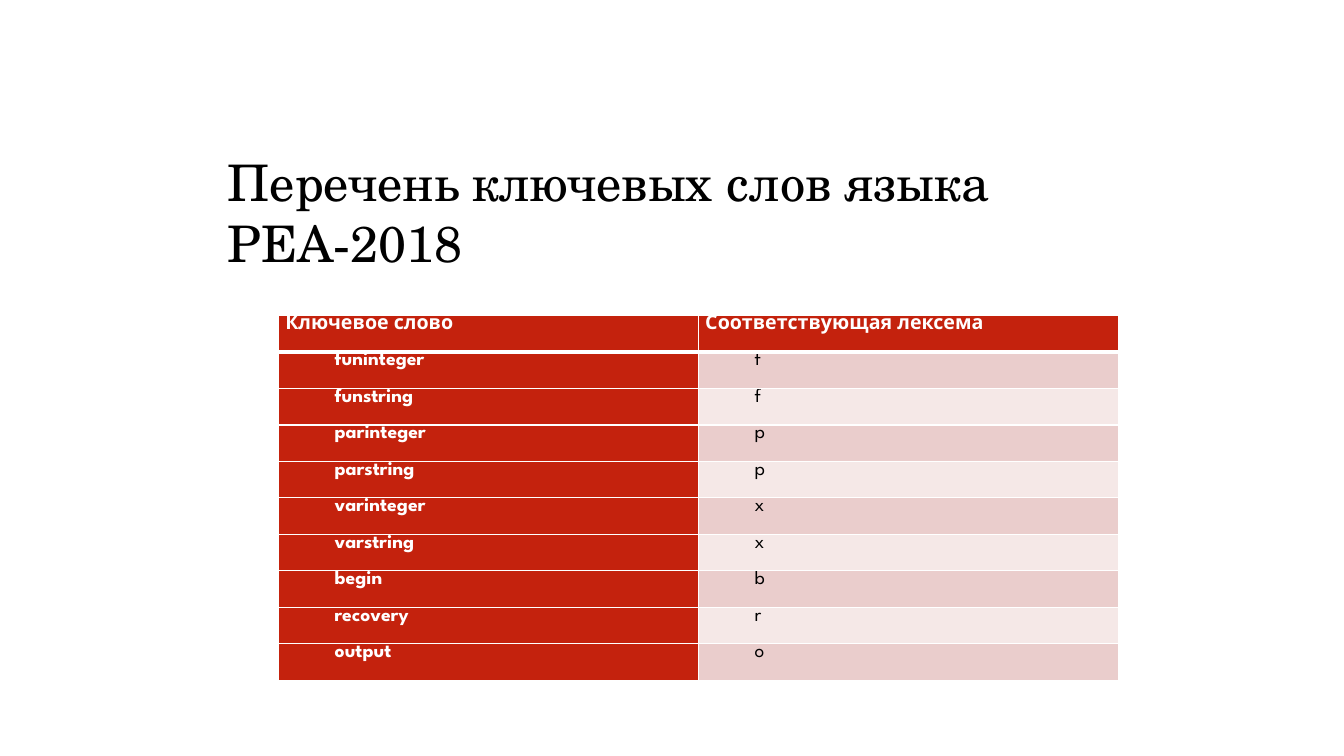
import pptx
import pptx.dml.color
import pptx.enum.text
import pptx.oxml
import pptx.oxml.ns
import pptx.util

RED = pptx.dml.color.RGBColor(0xC4, 0x22, 0x0D)
PINK = pptx.dml.color.RGBColor(0xEA, 0xCD, 0xCC)
PALE_PINK = pptx.dml.color.RGBColor(0xF5, 0xE8, 0xE7)
WHITE = pptx.dml.color.RGBColor(0xFF, 0xFF, 0xFF)
BLACK = pptx.dml.color.RGBColor(0x00, 0x00, 0x00)

HEADINGS = ("Ключевое слово", "Соответствующая лексема")
KEYWORDS = (
    ("funinteger", "f"),
    ("funstring", "f"),
    ("parinteger", "p"),
    ("parstring", "p"),
    ("varinteger", "x"),
    ("varstring", "x"),
    ("begin", "b"),
    ("recovery", "r"),
    ("output", "o"),
)


class KeywordSlide:
    """Places elements on a grid of 160 columns by 90 rows."""

    COLUMNS, ROWS = 160, 90
    TITLE_FONT, TABLE_FONT = "TeX Gyre Schola", "League Spartan"
    TITLE_SIZE, TABLE_SIZE = pptx.util.Pt(36), pptx.util.Pt(14)
    SIDE_MARGIN = pptx.util.Inches(0.07)
    FIRST_LINE_INDENT = pptx.util.Inches(0.49)

    def __init__(self, deck):
        self.column = deck.slide_width / self.COLUMNS
        self.row = deck.slide_height / self.ROWS
        self.slide = deck.slides.add_slide(deck.slide_layouts[5])

    def area(self, left, top, width, height):
        return (round(left * self.column), round(top * self.row),
                round(width * self.column), round(height * self.row))

    def style(self, paragraph, font, size, color, bold=False):
        paragraph.font.name = font
        paragraph.font.size = size
        paragraph.font.bold = bold
        paragraph.font.color.rgb = color

    def title(self, text, *place):
        heading = self.slide.shapes.title
        heading.left, heading.top, heading.width, heading.height = self.area(*place)
        frame = heading.text_frame
        frame.text = text
        frame.word_wrap = True
        frame.auto_size = pptx.enum.text.MSO_AUTO_SIZE.SHAPE_TO_FIT_TEXT
        frame.vertical_anchor = pptx.enum.text.MSO_ANCHOR.TOP
        paragraph = frame.paragraphs[0]
        paragraph.alignment = pptx.enum.text.PP_ALIGN.LEFT
        self.style(paragraph, self.TITLE_FONT, self.TITLE_SIZE, BLACK)

    def borders(self, cell, is_above_rule, is_below_rule):
        # Borders precede the fill inside the cell properties
        widths = {"L": 1, "R": 1, "T": 3 if is_below_rule else 1,
                  "B": 3 if is_above_rule else 1}
        properties = cell._tc.get_or_add_tcPr()
        for position, (side, points) in enumerate(widths.items()):
            properties.insert(position, pptx.oxml.parse_xml(
                f'<a:ln{side} {pptx.oxml.ns.nsdecls("a")} w="{pptx.util.Pt(points)}">'
                f'<a:solidFill><a:srgbClr val="{WHITE}"/></a:solidFill></a:ln{side}>'))

    def cell(self, cell, text, row, column):
        is_header = row == 0
        is_red = is_header or column == 0
        cell.text = text
        cell.margin_left = cell.margin_right = self.SIDE_MARGIN
        cell.margin_top = cell.margin_bottom = 0
        cell.fill.solid()
        cell.fill.fore_color.rgb = RED if is_red else PINK if row % 2 else PALE_PINK
        self.borders(cell, is_header, row == 1)

        paragraph = cell.text_frame.paragraphs[0]
        paragraph.alignment = pptx.enum.text.PP_ALIGN.JUSTIFY
        if is_header:
            paragraph.space_before = pptx.util.Pt(14)
        else:
            paragraph._p.get_or_add_pPr().set("indent", str(self.FIRST_LINE_INDENT))
        self.style(paragraph, self.TABLE_FONT, self.TABLE_SIZE,
                   WHITE if is_red else BLACK, is_red)

    def table(self, records, *place):
        keywords = self.slide.shapes.add_table(
            len(records), len(records[0]), *self.area(*place)).table
        for row, record in enumerate(records):
            for column, text in enumerate(record):
                self.cell(keywords.cell(row, column), text, row, column)


def main():
    deck = pptx.Presentation()
    deck.slide_width = pptx.util.Inches(13.33)
    deck.slide_height = pptx.util.Inches(7.5)
    page = KeywordSlide(deck)

    # Title
    page.title("Перечень ключевых слов языка PEA-2018", 25.92, 17.4, 121.44, 8.52)

    # Keywords and their lexemes
    page.table((HEADINGS, *KEYWORDS), 33.12, 37.56, 100, 43.44)

    deck.save("out.pptx")


if __name__ == "__main__":
    main()
